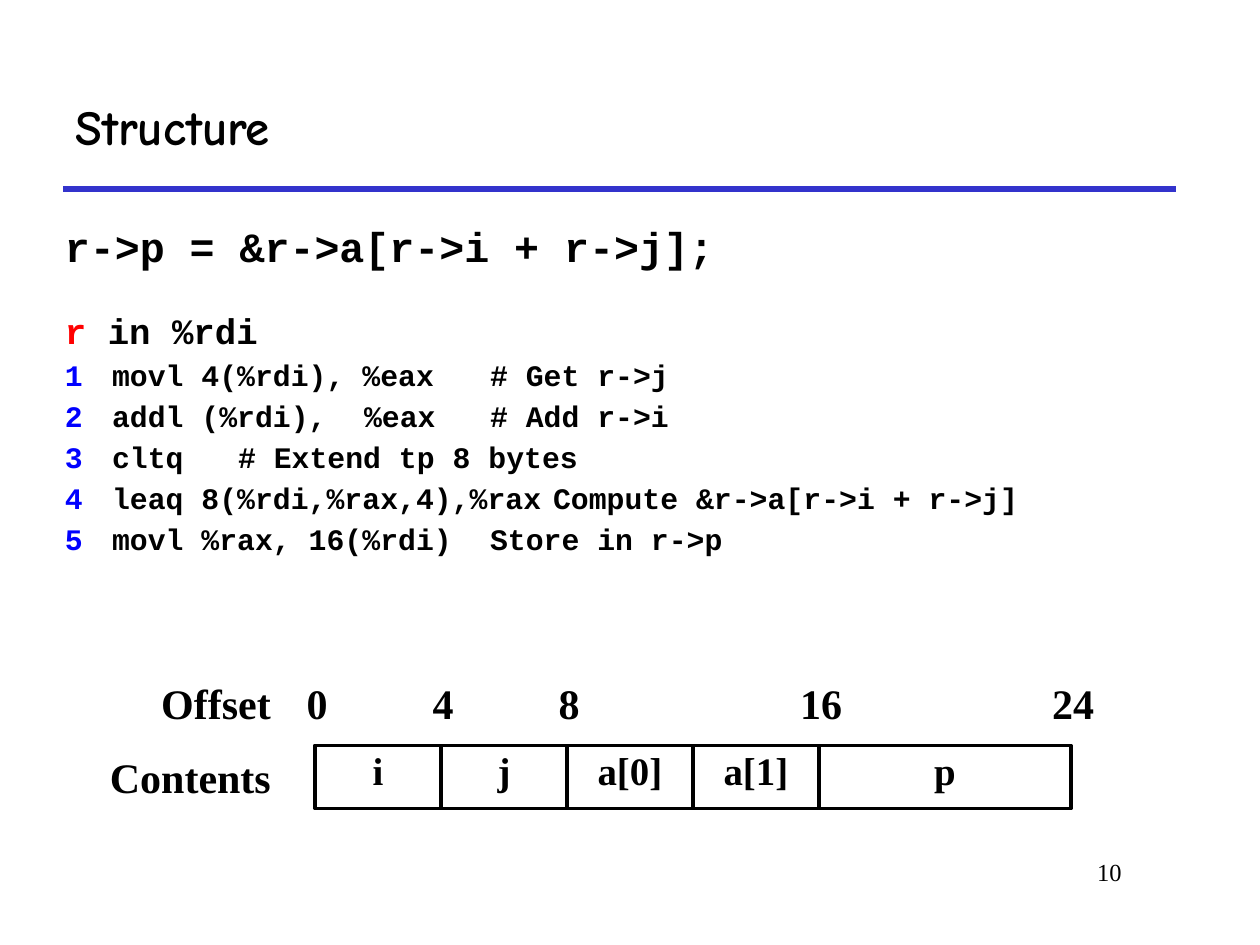
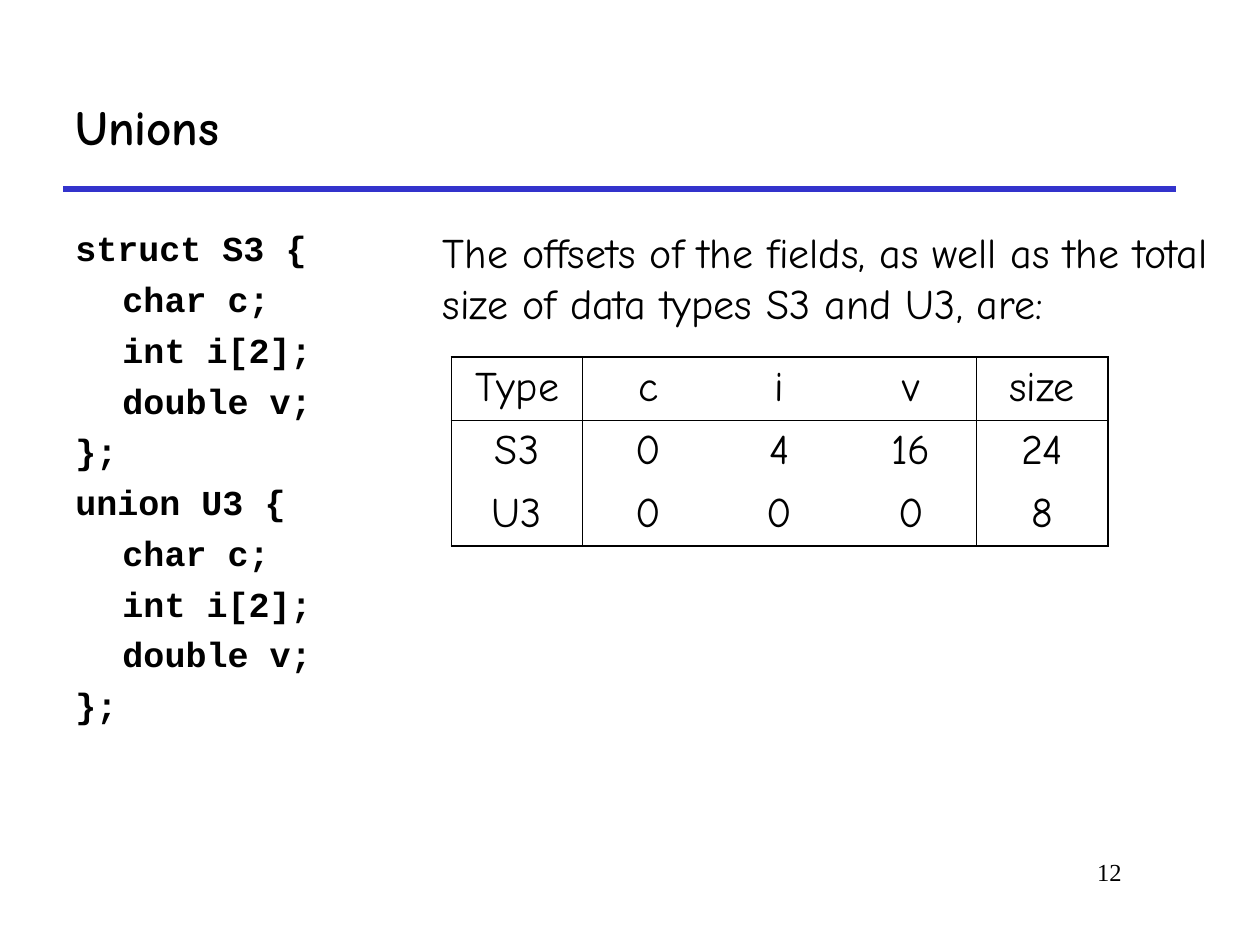
"""Build two lecture slides on C structures and unions."""
from lxml import etree
from pptx import Presentation
from pptx import util as u
from pptx.dml.color import RGBColor
from pptx.enum import shapes, text
from pptx.oxml.ns import qn

BLACK, RED, BLUE, RULE = "000000", "FF0000", "0000FF", "3333CC"
HAND, CODE, SERIF = "Comic Neue", "Courier New", "Times New Roman"
LEFT, CENTER, RIGHT = text.PP_ALIGN.LEFT, text.PP_ALIGN.CENTER, text.PP_ALIGN.RIGHT
INCH = 2.54
HANG = 0.95

ASSEMBLY = [
    ("1", "movl 4(%rdi), %eax\t# Get r->j", [10.16]),
    ("2", "addl (%rdi),\t%eax\t# Add r->i", [5.0, 10.16]),
    ("3", "cltq\t# Extend tp 8 bytes", [10.16]),
    ("4", "leaq 8(%rdi,%rax,4),%rax\tCompute &r->a[r->i + r->j]", [10.16]),
    ("5", "movl %rax, 16(%rdi)\tStore in r->p", [9.77]),
]
FIELDS = [("i", 0, 4), ("j", 4, 4), ("a[0]", 8, 4), ("a[1]", 12, 4), ("p", 16, 8)]
OFFSETS = [0, 4, 8, 16, 24]
MEMBERS = ["char c;", "int i[2];", "double v;"]
SIZES = [
    ["Type", "c", "i", "v", "size"],
    ["S3", "0", "4", "16", "24"],
    ["U3", "0", "0", "0", "8"],
]


def color(value):
    """Turn a hex string into a colour."""
    return RGBColor.from_string(value)


def style(p, font, size, bold=False, align=LEFT, before=0, spacing=1.0):
    """Set the font and spacing of a paragraph."""
    p.font.name, p.font.size, p.font.bold = font, u.Pt(size), bold
    p.font.color.rgb = color(BLACK)
    p.alignment, p.space_before, p.line_spacing = align, u.Pt(before), spacing


def indent(p, margin, first=0.0, tabs=()):
    """Set the left margin, first-line indent and tab stops of a paragraph."""
    pPr = p._p.get_or_add_pPr()
    pPr.set("marL", str(u.Cm(margin)))
    pPr.set("indent", str(u.Cm(first)))
    if tabs:
        tab_list = etree.Element(qn("a:tabLst"))
        for stop in tabs:
            etree.SubElement(tab_list, qn("a:tab"), pos=str(u.Cm(stop)), algn="l")
        pPr.find(qn("a:defRPr")).addprevious(tab_list)


def add_run(p, words, hue):
    """Append a coloured run."""
    r = p.add_run()
    r.text = words
    r.font.color.rgb = color(hue)


def add_box(s, x, y, w, h):
    """Add an empty wrapping text box and return its text frame."""
    tf = s.shapes.add_textbox(u.Cm(x), u.Cm(y), u.Cm(w), u.Cm(h)).text_frame
    tf.word_wrap = True
    return tf


def add_label(s, words, x, y, w, h, font, size, **options):
    """Add a text box with one paragraph and return its text frame."""
    tf = add_box(s, x, y, w, h)
    tf.text = words
    style(tf.paragraphs[0], font, size, **options)
    return tf


def next_paragraph(tf):
    """Return the first paragraph while unused, otherwise a new one."""
    first = tf.paragraphs[0]
    return tf.add_paragraph() if first.runs else first


def add_slide(prs, title, number):
    """Add a slide with its title, rule and page number."""
    s = prs.slides.add_slide(prs.slide_layouts[6])
    rule = s.shapes.add_connector(shapes.MSO_CONNECTOR.STRAIGHT,
                                  u.Cm(1.27), u.Cm(3.81), u.Cm(23.7), u.Cm(3.81))
    rule.line.color.rgb, rule.line.width = color(RULE), u.Pt(3)
    etree.SubElement(rule._element.spPr, qn("a:effectLst"))
    add_label(s, str(number), 19.26, 17.15, 3.6, 1.27, SERIF, 14, align=RIGHT)
    tf = add_label(s, title, 1.27, 1.27, 22.43, 2.54, HAND, 28, bold=True)
    tf.vertical_anchor = text.MSO_ANCHOR.MIDDLE
    return s


def add_assembly(s):
    """Add the C statement and its numbered assembly listing."""
    tf = add_label(s, "r->p = &r->a[r->i + r->j];", 1.06, 4.45, 24.34, 8.46,
                   CODE, 23.8, bold=True, spacing=0.9)
    p = tf.add_paragraph()
    style(p, CODE, 20.4, bold=True, before=24, spacing=0.9)
    add_run(p, "r", RED)
    add_run(p, " in %rdi", BLACK)
    for number, code, stops in ASSEMBLY:
        p = tf.add_paragraph()
        style(p, CODE, 17, bold=True, before=5, spacing=0.9)
        indent(p, HANG, -HANG, [0, *stops])
        add_run(p, number + "\t", BLUE)
        add_run(p, code, BLACK)


def add_field(s, name, x, y, w):
    """Add one outlined field of the memory layout."""
    sp = s.shapes.add_shape(shapes.MSO_SHAPE.RECTANGLE,
                            u.Cm(x), u.Cm(y), u.Cm(w), u.Cm(1.27))
    sp.shadow.inherit = False
    sp.fill.background()
    sp.line.color.rgb, sp.line.width = color(BLACK), u.Pt(2.25)
    tf = sp.text_frame
    tf.word_wrap, tf.vertical_anchor = True, text.MSO_ANCHOR.TOP
    tf.text = name
    style(tf.paragraphs[0], SERIF, 22.2, bold=True, align=CENTER, spacing=0.9)


def add_memory_layout(s):
    """Add the fields of the structure with their byte offsets."""
    left, offset_top, field_top, byte = 6.35, 13.54, 15.03, INCH / 4
    for name, start, size in FIELDS:
        add_field(s, name, left + start * byte, field_top, size * byte)
    for name, top in (("Contents", field_top), ("Offset", offset_top)):
        add_label(s, name, 1.9, top, 3.81, 1.27, SERIF, 24, bold=True, align=RIGHT)
    for offset in OFFSETS:
        digits = str(offset)
        x = left + offset * byte - 0.21 - 0.21 * len(digits)
        add_label(s, digits, x, offset_top, 1.7, 1.27, SERIF, 24, bold=True)


def add_declarations(s):
    """Add the struct and union declarations."""
    tf = add_box(s, 1.27, 4.45, 23.06, 12.27)
    for heading in ("struct S3 {", "union U3 {"):
        for line in (heading, *MEMBERS, "};"):
            p = next_paragraph(tf)
            p.text = line
            style(p, CODE, 20, bold=True, before=5)
            indent(p, HANG if line in MEMBERS else 0)


def set_borders(cell, **widths):
    """Draw the cell borders by side (L, R, T, B); width 0 draws none."""
    tcPr = cell._tc.get_or_add_tcPr()
    for i, side in enumerate("LRTB"):
        width = widths[side]
        ln = etree.Element(qn("a:ln" + side), w=str(u.Pt(width)))
        if width:
            fill = etree.SubElement(ln, qn("a:solidFill"))
            etree.SubElement(fill, qn("a:srgbClr"), val=BLACK)
        else:
            etree.SubElement(ln, qn("a:noFill"))
        tcPr.insert(i, ln)


def edge_width(edge, count, dividers):
    """Return the line width of a grid edge: outer, divider or none."""
    return 1.08 if edge in (0, count) else 0.45 if edge in dividers else 0


def add_size_table(s):
    """Add the table of field offsets and total sizes."""
    rows, cols = len(SIZES), len(SIZES[0])
    table = s.shapes.add_table(rows, cols, u.Cm(9.1), u.Cm(7.2),
                               u.Cm(13.23), u.Cm(3.81)).table
    table.first_row = table.horz_banding = False
    for i, row in enumerate(SIZES):
        for j, value in enumerate(row):
            cell = table.cell(i, j)
            cell.fill.background()
            cell.text = value
            style(cell.text_frame.paragraphs[0], HAND, 24, align=CENTER)
            set_borders(cell,
                        L=edge_width(j, cols, (1, 4)), R=edge_width(j + 1, cols, (1, 4)),
                        T=edge_width(i, rows, (1,)), B=edge_width(i + 1, rows, (1,)))


def main():
    """Build and save the presentation."""
    prs = Presentation()
    prs.slide_width, prs.slide_height = u.Cm(25.4), u.Cm(19.05)

    s = add_slide(prs, "Structure", 10)
    add_assembly(s)
    add_memory_layout(s)

    s = add_slide(prs, "Unions", 12)
    add_declarations(s)
    add_size_table(s)
    add_label(s, "The offsets of the fields, as well as the total size of "
              "data types S3 and U3, are:", 8.68, 4.45, 16.72, 2.29, HAND, 24)

    prs.save("out.pptx")


if __name__ == "__main__":
    main()
